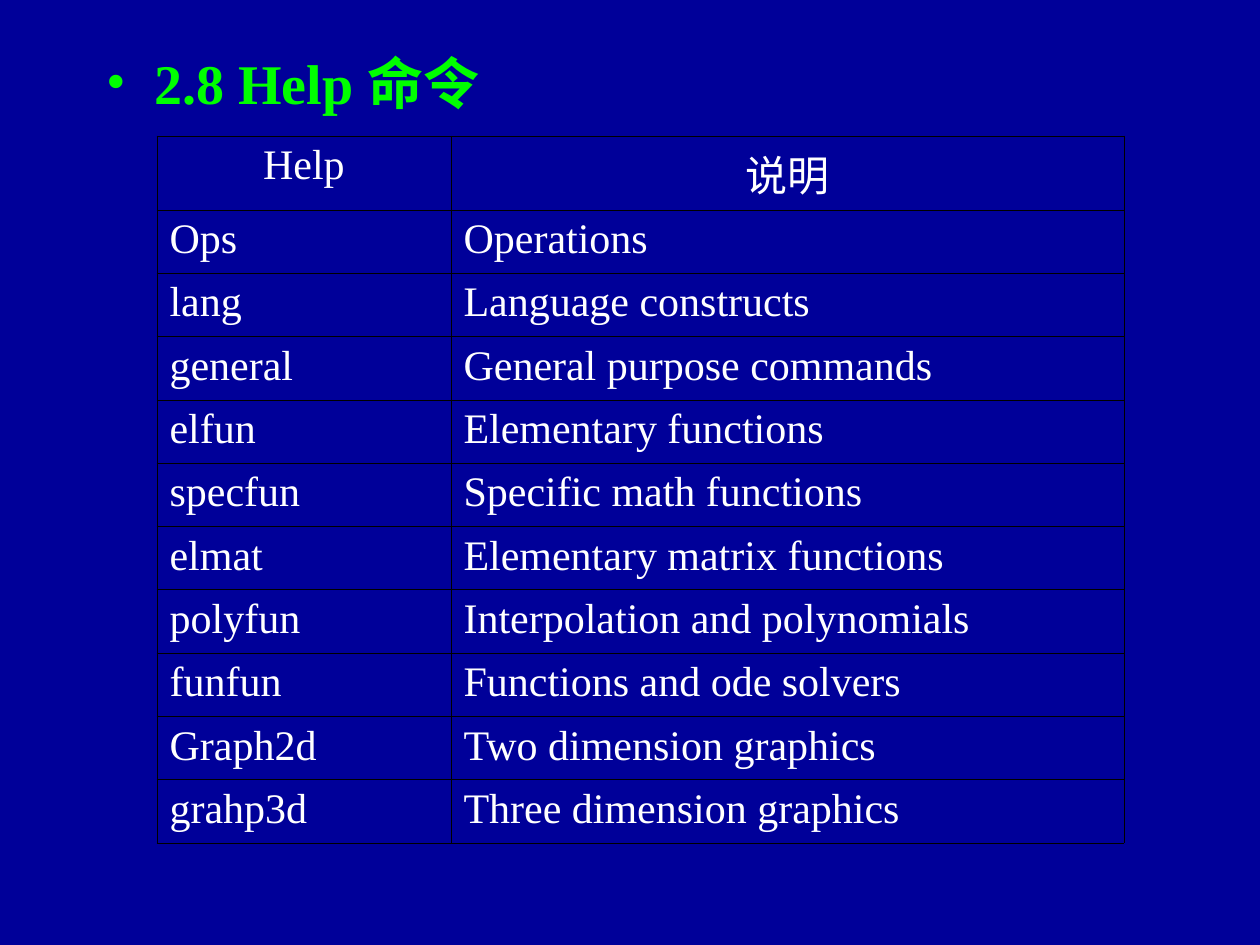
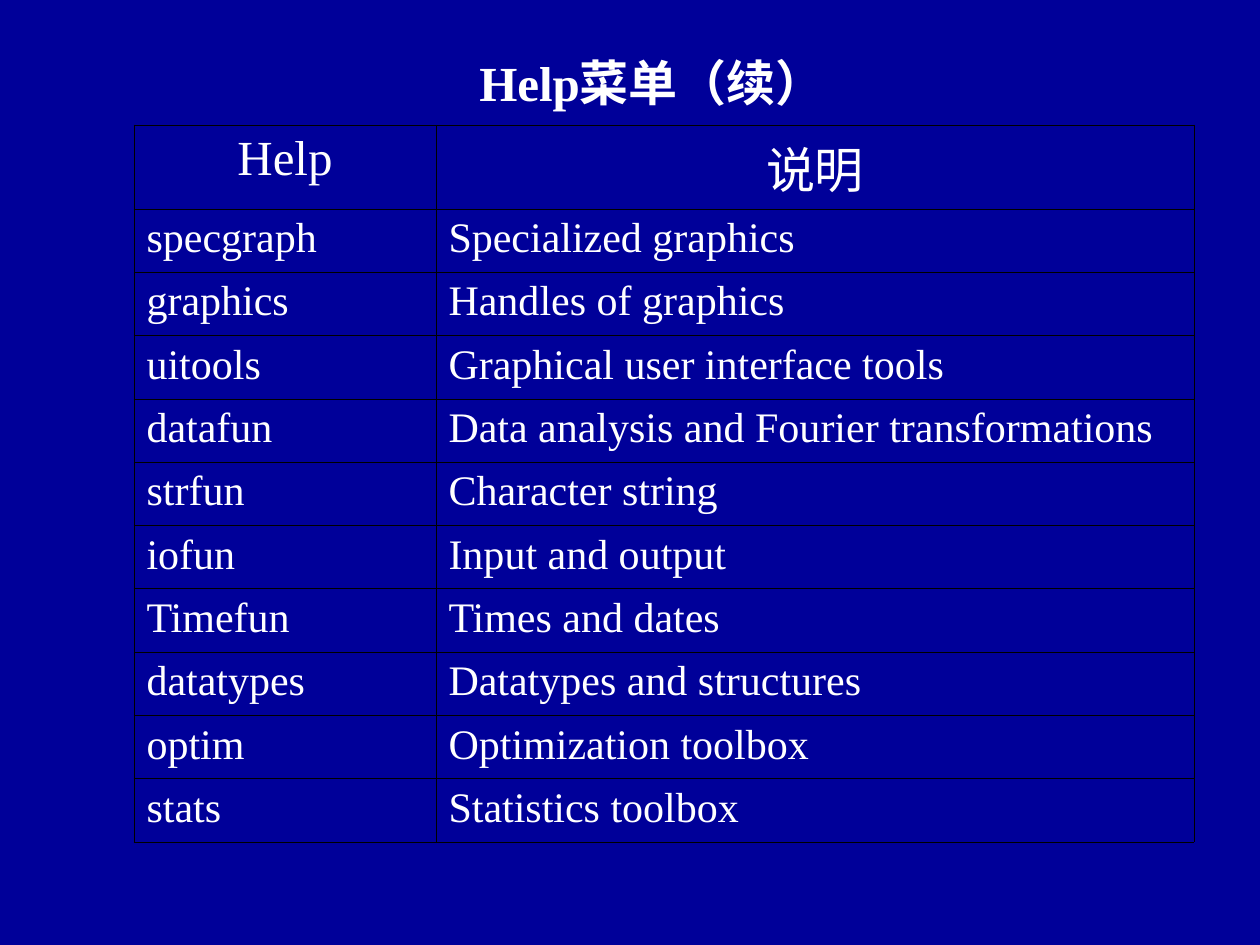
from dataclasses import dataclass

from lxml import etree
from pptx import Presentation
from pptx import util as u
from pptx.dml.color import RGBColor
from pptx.enum import lang, text
from pptx.oxml.ns import qn

PX = u.Inches(1) / 126
COLORS = {"bg": "000099", "white": "FFFFFF", "green": "00FF00", "border": "000000"}
FONT = "Times New Roman"
BORDER_PT = 0.45
TOPICS_H = 633
BODY_PT = 24
BULLET_INDENT = 48


@dataclass(frozen=True)
class Title:
    words: str
    box: tuple[int, int, int, int]
    size: int
    color: str
    bullet: bool = False


@dataclass(frozen=True)
class HelpTable:
    left: int
    top: int
    columns: tuple[int, int]
    header_h: int
    header_pt: int
    topics: list[tuple[str, str]]


HEADER = ("Help", "说明")
PAGES = [
    (
        Title("2.8 Help 命令", (94, 42, 1071, 788), 32, "green", bullet=True),
        HelpTable(157, 136, (294, 673), 74, 24, [
            ("Ops", "Operations"),
            ("lang", "Language constructs"),
            ("general", "General purpose commands"),
            ("elfun", "Elementary functions"),
            ("specfun", "Specific math functions"),
            ("elmat", "Elementary matrix functions"),
            ("polyfun", "Interpolation and polynomials"),
            ("funfun", "Functions and ode solvers"),
            ("Graph2d", "Two dimension graphics"),
            ("grahp3d", "Three dimension graphics"),
        ]),
    ),
    (
        Title("Help菜单（续）", (253, 46, 798, 72), 28, "white"),
        HelpTable(134, 125, (302, 758), 84, 28, [
            ("specgraph", "Specialized graphics"),
            ("graphics", "Handles of graphics"),
            ("uitools", "Graphical user interface tools"),
            ("datafun", "Data analysis and Fourier transformations"),
            ("strfun", "Character string"),
            ("iofun", "Input and output"),
            ("Timefun", "Times and dates"),
            ("datatypes", "Datatypes and structures"),
            ("optim", "Optimization toolbox"),
            ("stats", "Statistics toolbox"),
        ]),
    ),
]


def px(n: int) -> u.Emu:
    return u.Emu(round(n * PX))


def rgb(name: str) -> RGBColor:
    return RGBColor.from_string(COLORS[name])


def write(p, words: str, size: int, color: str = "white", bold: bool = False,
          centred: bool = False) -> None:
    p.alignment = text.PP_ALIGN.CENTER if centred else text.PP_ALIGN.LEFT
    r = p.add_run()
    r.text = words
    formats = {
        "name": FONT,
        "size": u.Pt(size),
        "bold": bold,
        "language_id": lang.MSO_LANGUAGE_ID.SIMPLIFIED_CHINESE,
    }
    for key, value in formats.items():
        setattr(r.font, key, value)
    r.font.color.rgb = rgb(color)


def add_bullet(p, color: str) -> None:
    pPr = p._p.get_or_add_pPr()
    pPr.set("marL", str(px(BULLET_INDENT)))
    pPr.set("indent", str(-px(BULLET_INDENT)))
    clr = etree.SubElement(pPr, qn("a:buClr"))
    etree.SubElement(clr, qn("a:srgbClr"), val=COLORS[color])
    etree.SubElement(pPr, qn("a:buFont"), typeface=FONT)
    etree.SubElement(pPr, qn("a:buChar"), char="•")


def add_borders(cell) -> None:
    tcPr = cell._tc.get_or_add_tcPr()
    for i, side in enumerate(("lnL", "lnR", "lnT", "lnB")):
        ln = etree.Element(qn(f"a:{side}"), w=str(u.Pt(BORDER_PT)))
        fill = etree.SubElement(ln, qn("a:solidFill"))
        etree.SubElement(fill, qn("a:srgbClr"), val=COLORS["border"])
        tcPr.insert(i, ln)


def add_title(s, title: Title) -> None:
    tf = s.shapes.add_textbox(*map(px, title.box)).text_frame
    tf.word_wrap = True
    p = tf.paragraphs[0]
    if title.bullet:
        add_bullet(p, title.color)
    write(p, title.words, title.size, title.color, bold=True, centred=not title.bullet)


def add_help_table(s, spec: HelpTable) -> None:
    """Draw the header row, then share TOPICS_H equally among the topics."""
    rows = [HEADER, *spec.topics]
    box = (spec.left, spec.top, sum(spec.columns), spec.header_h + TOPICS_H)
    table = s.shapes.add_table(len(rows), len(HEADER), *map(px, box)).table
    table.first_row = table.horz_banding = False
    for column, width in zip(table.columns, spec.columns):
        column.width = px(width)
    topic_h = TOPICS_H / len(spec.topics)
    for i, row in enumerate(rows):
        is_header = i == 0
        table.rows[i].height = px(spec.header_h if is_header else topic_h)
        for cell, words in zip(table.rows[i].cells, row):
            cell.fill.background()
            add_borders(cell)
            write(cell.text_frame.paragraphs[0], words,
                  spec.header_pt if is_header else BODY_PT, centred=is_header)


def main() -> None:
    prs = Presentation()
    prs.slide_width, prs.slide_height = px(1260), px(945)
    for title, help_table in PAGES:
        s = prs.slides.add_slide(prs.slide_layouts[6])
        s.background.fill.solid()
        s.background.fill.fore_color.rgb = rgb("bg")
        add_title(s, title)
        add_help_table(s, help_table)
    prs.save("out.pptx")


if __name__ == "__main__":
    main()
